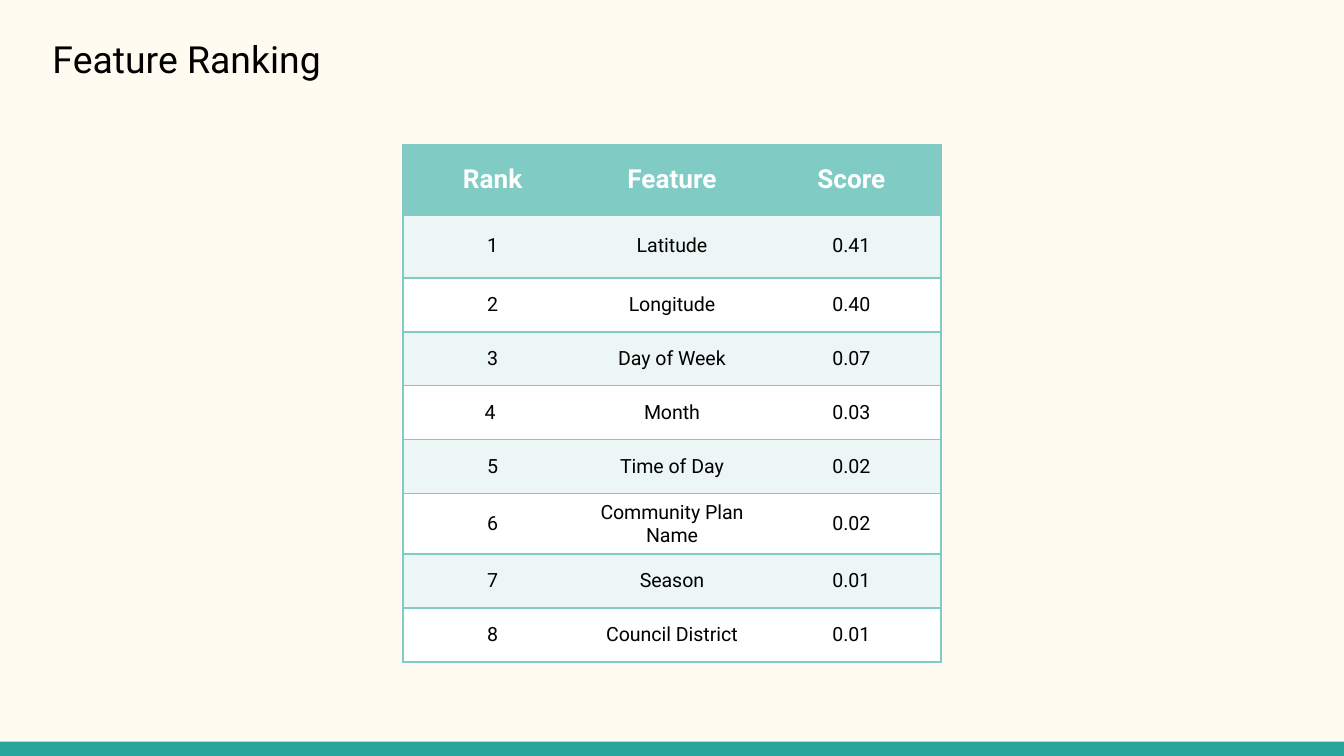
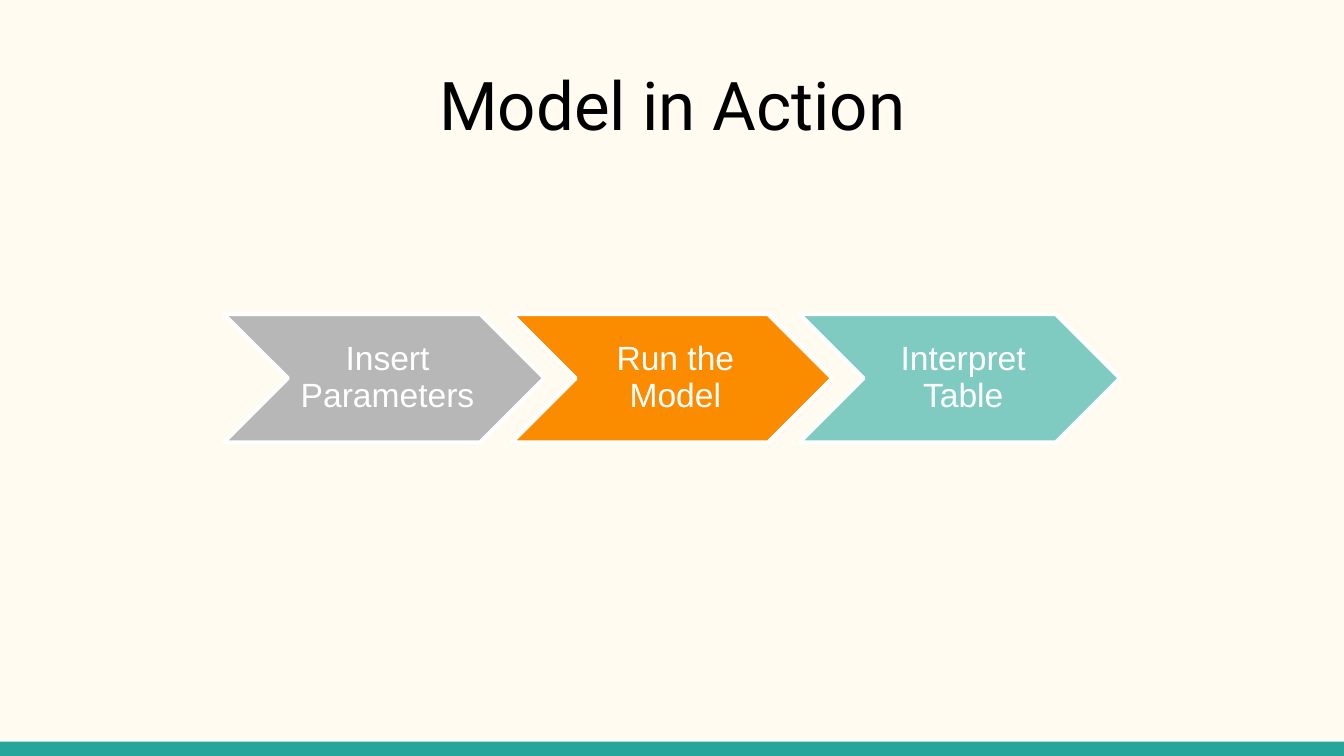
from dataclasses import dataclass

from lxml.etree import SubElement
from pptx import Presentation
from pptx.dml.color import RGBColor
from pptx.enum.shapes import MSO_SHAPE as Preset
from pptx.enum.text import MSO_ANCHOR as Anchor, PP_ALIGN as Align
from pptx.oxml.ns import qn
from pptx.util import Cm, Pt

RANKING_TITLE = "Feature Ranking"
RANKING = [
    ("Rank", "Feature", "Score"),
    ("1", "Latitude", "0.41"),
    ("2", "Longitude", "0.40"),
    ("3", "Day of Week", "0.07"),
    ("4 ", "Month", "0.03"),
    ("5", "Time of Day", "0.02"),
    ("6", "Community Plan Name", "0.02"),
    ("7", "Season", "0.01"),
    ("8", "Council District", "0.01"),
]
STEPS_TITLE = "Model in Action"
STEPS = [
    ("Insert Parameters", "B7B7B7"),
    ("Run the Model", "FB8C00"),
    ("Interpret Table", "7FCBC2"),
]


@dataclass(frozen=True)
class Theme:
    cream: str = "FFFBF0"
    band: str = "26A69A"
    teal: str = "80CBC4"
    tint: str = "ECF6F5"
    white: str = "FFFFFF"
    ink: str = "000000"
    font: str = "Roboto"
    step_font: str = "Arial"
    small_title: float = 20
    large_title: float = 36
    header: float = 14
    body: float = 10.5
    step: float = 18


THEME = Theme()
SLIDE_W, SLIDE_H = 25.4, 14.29
BAND_H = 0.27


def paint(fill, color):
    fill.solid()
    fill.fore_color.rgb = RGBColor.from_string(color)


def write(frame, words, size, color, font=THEME.font, bold=False):
    paragraph = frame.paragraphs[0]
    paragraph.alignment = Align.CENTER
    run = paragraph.add_run()
    run.text = words
    run.font.name = font
    run.font.size = Pt(size)
    run.font.bold = bold
    run.font.color.rgb = RGBColor.from_string(color)
    return paragraph


def set_insets(frame, left, rest):
    frame.margin_left = Cm(left)
    frame.margin_top = frame.margin_right = frame.margin_bottom = Cm(rest)


def new_slide(deck, title, size, left, top, width):
    slide = deck.slides.add_slide(deck.slide_layouts[6])
    paint(slide.background.fill, THEME.cream)

    band = slide.shapes.add_shape(
        Preset.RECTANGLE, 0, Cm(SLIDE_H - BAND_H), Cm(SLIDE_W), Cm(BAND_H))
    band.shadow.inherit = False
    paint(band.fill, THEME.band)
    band.line.fill.background()

    heading = slide.shapes.add_textbox(Cm(left), Cm(top), Cm(width), Cm(1.7)).text_frame
    heading.word_wrap = True
    set_insets(heading, 0.25, 0.25)
    write(heading, title, size, THEME.ink)
    return slide


def set_borders(cell, visible):
    props = cell._tc.get_or_add_tcPr()
    for side in "LRTB":
        edge = SubElement(props, qn(f"a:ln{side}"), w=str(Pt(1)))
        if side in visible:
            fill = SubElement(edge, qn("a:solidFill"))
            SubElement(fill, qn("a:srgbClr"), val=THEME.teal)
        else:
            SubElement(edge, qn("a:noFill"))


def add_ranking(slide):
    column_w = 3.39
    heights = [1.32, 1.19] + [1.02] * (len(RANKING) - 2)
    last = len(RANKING[0]) - 1
    width = column_w * (last + 1)
    table = slide.shapes.add_table(
        len(RANKING), last + 1, Cm((SLIDE_W - width) / 2), Cm(2.74),
        Cm(width), Cm(sum(heights))).table
    for column in table.columns:
        column.width = Cm(column_w)
    for r, (entry, height) in enumerate(zip(RANKING, heights)):
        table.rows[r].height = Cm(height)
        if r == 0:
            fill, color, size = THEME.teal, THEME.white, THEME.header
        else:
            fill = THEME.tint if r % 2 else THEME.white
            color, size = THEME.ink, THEME.body
        for c, words in enumerate(entry):
            cell = table.cell(r, c)
            cell.vertical_anchor = Anchor.MIDDLE
            set_borders(cell, "TB" + "L" * (c == 0) + "R" * (c == last))
            paint(cell.fill, fill)
            write(cell.text_frame, words, size, color, bold=r == 0)


def add_steps(slide):
    width, height, pitch = 6.05, 2.42, 5.44
    left = (SLIDE_W - width - pitch * (len(STEPS) - 1)) / 2
    for i, (words, color) in enumerate(STEPS):
        step = slide.shapes.add_shape(
            Preset.CHEVRON, Cm(left + i * pitch), Cm(5.94), Cm(width), Cm(height))
        step.shadow.inherit = False
        paint(step.fill, color)
        paint(step.line.fill, THEME.white)
        step.line.width = Pt(2)
        label = step.text_frame
        label.word_wrap = True
        label.vertical_anchor = Anchor.MIDDLE
        set_insets(label, 0.2, 0.07)
        write(label, words, THEME.step, THEME.white, THEME.step_font).line_spacing = 0.9


def main():
    deck = Presentation()
    deck.slide_width, deck.slide_height = Cm(SLIDE_W), Cm(SLIDE_H)
    add_ranking(new_slide(deck, RANKING_TITLE, THEME.small_title, 0, 0.43, 7.06))
    add_steps(new_slide(deck, STEPS_TITLE, THEME.large_title, 6.45, 0.94, 12.52))
    deck.save("out.pptx")


if __name__ == "__main__":
    main()
